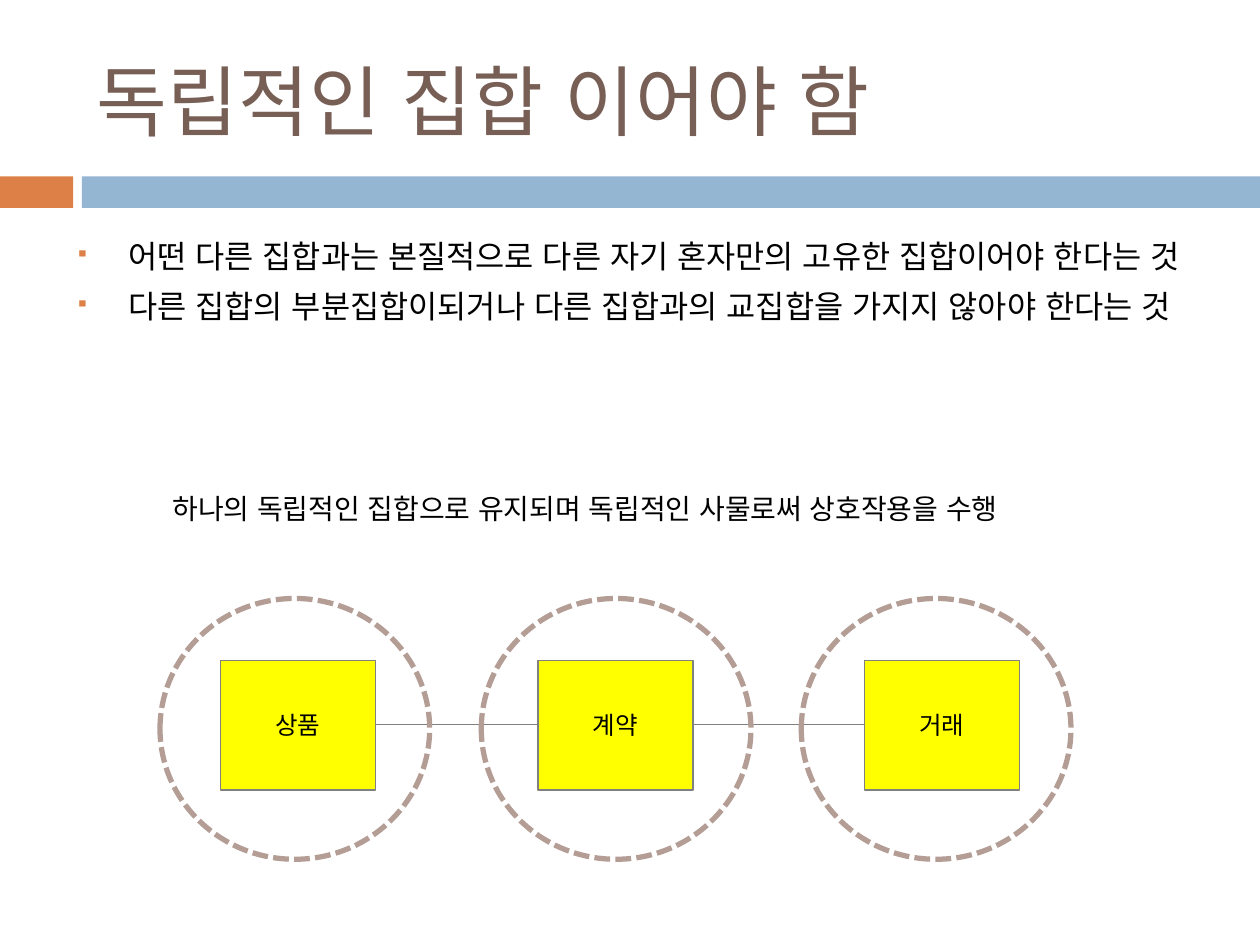
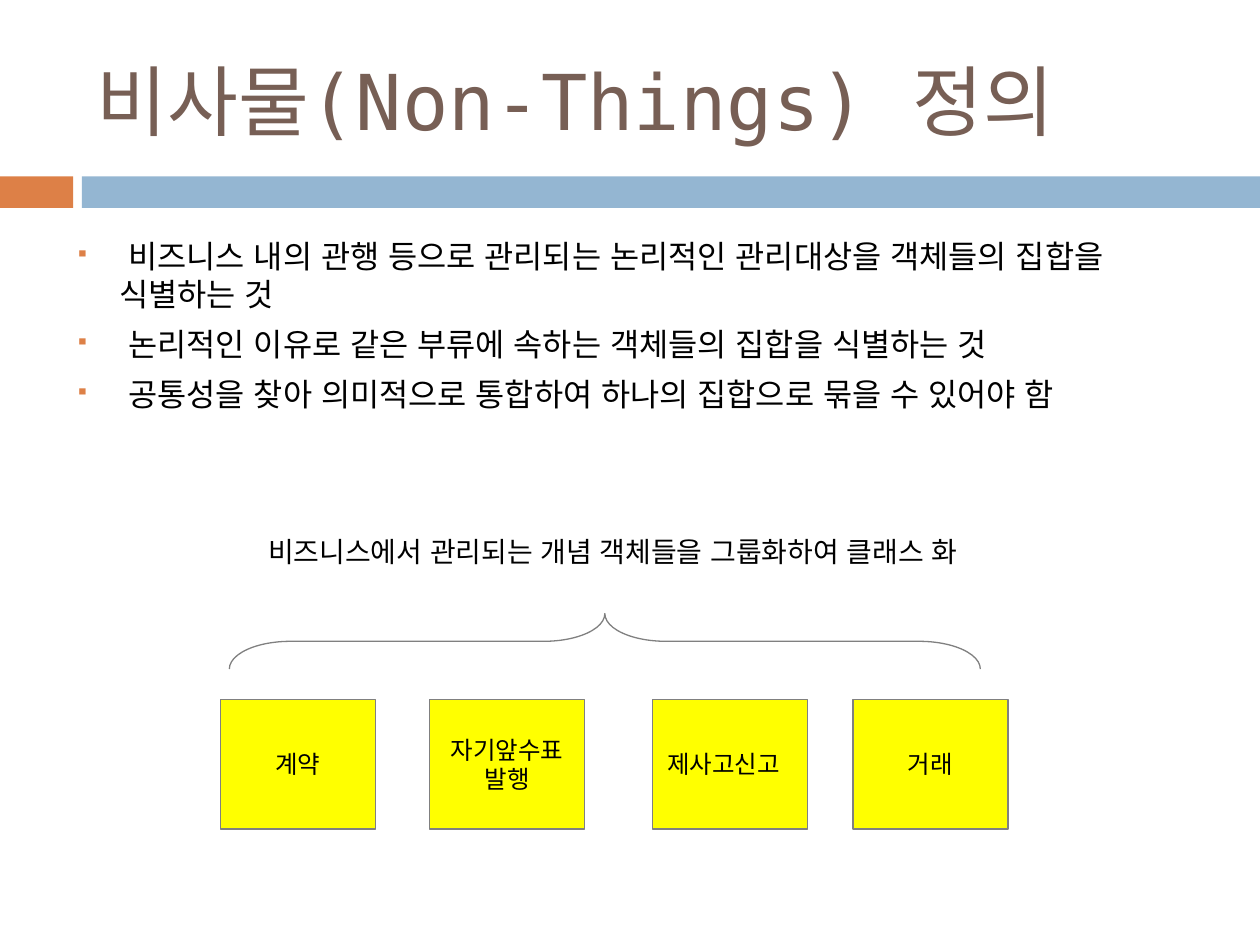
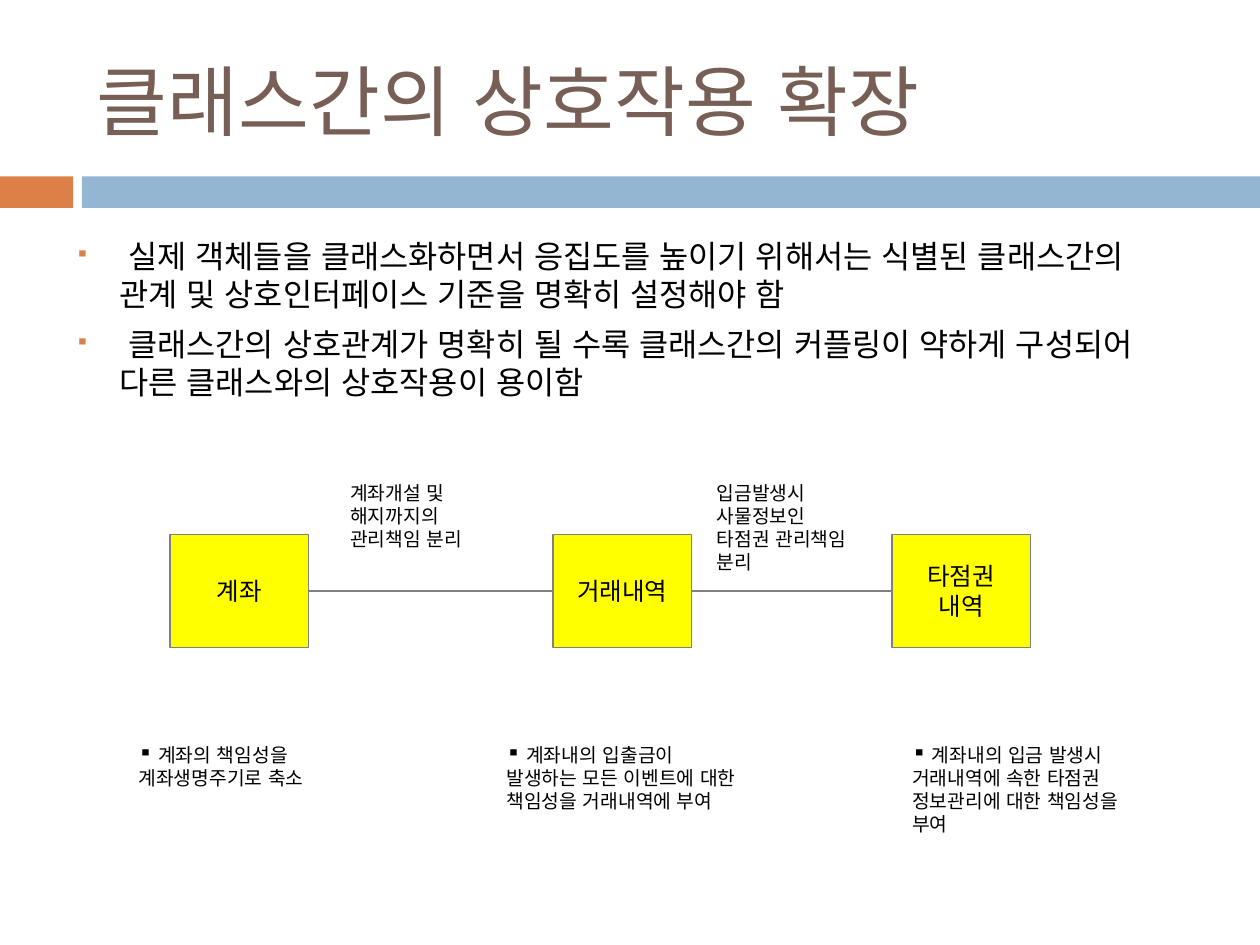
from dataclasses import dataclass
from itertools import pairwise

from lxml.etree import SubElement
from pptx import Presentation
from pptx.dml.color import RGBColor as RGB
from pptx.enum.dml import MSO_LINE
from pptx.enum.lang import MSO_LANGUAGE_ID as LANG
from pptx.enum.shapes import MSO_CONNECTOR, MSO_SHAPE
from pptx.enum.text import MSO_ANCHOR as ANCHOR, PP_ALIGN as ALIGN
from pptx.oxml.ns import qn
from pptx.util import Pt

PX = 9144  # EMU per px, 100 px to the inch


@dataclass(frozen=True)
class Theme:
    font: str = "DejaVu Sans Mono"
    title: str = "775F55"
    text: str = "000000"
    accent: str = "DD8047"
    band: str = "94B6D2"
    box: str = "FFFF00"
    line: str = "808080"
    ring: str = "B39D94"
    title_pt: float = 44
    body_pt: float = 18.1
    caption_pt: float = 16
    box_pt: float = 14
    note_pt: float = 11
    hairline_pt: float = 0.75
    ring_pt: float = 3
    leading: float = 1.2


def add_bullet(p, color=None, scale=None, hang=0):
    pPr = p._p.get_or_add_pPr()
    if hang:
        pPr.set("marL", str(hang * PX))
        pPr.set("indent", str(-hang * PX))
    if color:
        SubElement(SubElement(pPr, qn("a:buClr")), qn("a:srgbClr"), val=color)
    if scale:
        SubElement(pPr, qn("a:buSzPct"), val=str(scale * 1000))
    SubElement(pPr, qn("a:buChar"), char="▪")


def write(tf, text, *, theme, size, color=None, align=ALIGN.LEFT,
          anchor=ANCHOR.TOP, gap=0, bullet=None):
    """Fill a text frame with one paragraph per line of text."""
    tf.word_wrap = True
    tf.vertical_anchor = anchor
    for i, line in enumerate(text.split("\n")):
        p = tf.paragraphs[0] if i == 0 else tf.add_paragraph()
        p.alignment = align
        p.line_spacing = Pt(size * theme.leading)
        if i:
            p.space_before = Pt(gap)
        if bullet is not None:
            add_bullet(p, **bullet)
        r = p.add_run()
        r.text = line
        r.font.name = theme.font
        r.font.size = Pt(size)
        r.font.color.rgb = RGB.from_string(color or theme.text)
        r.font.language_id = LANG.KOREAN


class Deck:
    def __init__(self, theme):
        self.theme = theme
        self.prs = Presentation()
        self.prs.slide_width, self.prs.slide_height = 1000 * PX, 750 * PX
        self.s = None

    def slide(self, title, *points):
        t = self.theme
        self.s = self.prs.slides.add_slide(self.prs.slide_layouts[6])
        self.shape((0, 140, 58, 25), fill=t.accent)
        self.shape((65, 140, 935, 25), fill=t.band)
        self.text((67, 25, 892, 108), title, size=t.title_pt, color=t.title,
                  anchor=ANCHOR.MIDDLE)
        self.text((50, 183, 900, 153), "\n".join(points), size=t.body_pt, gap=7,
                  bullet={"color": t.accent, "scale": 60, "hang": 35})

    def shape(self, at, kind=MSO_SHAPE.RECTANGLE, fill=None, line=None,
              width=None, dash=None):
        sp = self.s.shapes.add_shape(kind, *(v * PX for v in at))
        sp.shadow.inherit = False
        if fill:
            sp.fill.solid()
            sp.fill.fore_color.rgb = RGB.from_string(fill)
        else:
            sp.fill.background()
        if line:
            sp.line.color.rgb = RGB.from_string(line)
            sp.line.width = Pt(width or self.theme.hairline_pt)
            sp.line.dash_style = dash
        else:
            sp.line.fill.background()
        return sp

    def text(self, at, text, **fmt):
        sp = self.s.shapes.add_textbox(*(v * PX for v in at))
        write(sp.text_frame, text, theme=self.theme, **fmt)

    def caption(self, at, text, align=ALIGN.LEFT):
        self.text(at, text, size=self.theme.caption_pt, align=align)

    def note(self, at, text, bullet=None):
        self.text(at, text, size=self.theme.note_pt, bullet=bullet)

    def link(self, x1, x2, y):
        c = self.s.shapes.add_connector(MSO_CONNECTOR.STRAIGHT,
                                        x1 * PX, y * PX, x2 * PX, y * PX)
        c.line.color.rgb = RGB.from_string(self.theme.line)
        c.line.width = Pt(self.theme.hairline_pt)
        SubElement(c._element.spPr, qn("a:effectLst"))

    def class_row(self, boxes, top, width, height, linked=False):
        """Draw class boxes, given as left edge to name, side by side."""
        t = self.theme
        for x, name in boxes.items():
            sp = self.shape((x, top, width, height), fill=t.box, line=t.line)
            write(sp.text_frame, name, theme=t, size=t.box_pt,
                  align=ALIGN.CENTER, anchor=ANCHOR.MIDDLE)
        if linked:
            for x1, x2 in pairwise(boxes):
                self.link(x1 + width, x2, top + height // 2)

    def ring(self, at):
        self.shape(at, MSO_SHAPE.OVAL, line=self.theme.ring,
                   width=self.theme.ring_pt, dash=MSO_LINE.SQUARE_DOT)

    def top_brace(self, left, top, width, height):
        """Draw a brace that opens downwards over the given area."""
        x = left + (width - height) // 2
        y = top + (height - width) // 2
        sp = self.shape((x, y, height, width), MSO_SHAPE.LEFT_BRACE,
                        line=self.theme.line)
        sp.adjustments[0] = 1.1
        sp.rotation = 90


def independent_sets(d):
    d.slide("독립적인 집합 이어야 함",
            " 어떤 다른 집합과는 본질적으로 다른 자기 혼자만의 고유한 집합이어야 한다는 것",
            " 다른 집합의 부분집합이되거나 다른 집합과의 교집합을 가지지 않아야 한다는 것")
    d.class_row({175: "상품", 427: "계약", 686: "거래"}, 524, 123, 103, linked=True)
    for x in (127, 382, 636):
        d.ring((x, 475, 214, 207))
    d.caption((127, 385, 746, 37),
              "하나의 독립적인 집합으로 유지되며 독립적인 사물로써 상호작용을 수행")


def non_things(d):
    d.slide("비사물(Non-Things) 정의",
            " 비즈니스 내의 관행 등으로 관리되는 논리적인 관리대상을 객체들의 집합을 식별하는 것",
            " 논리적인 이유로 같은 부류에 속하는 객체들의 집합을 식별하는 것",
            " 공통성을 찾아 의미적으로 통합하여 하나의 집합으로 묶을 수 있어야 함")
    d.class_row({175: "계약", 341: "자기앞수표발행", 518: "제사고신고\t", 677: "거래"},
                555, 123, 103)
    d.top_brace(182, 487, 596, 44)
    d.caption((91, 419, 791, 37),
              "비즈니스에서 관리되는 개념 객체들을 그룹화하여 클래스 화", ALIGN.CENTER)


def class_interaction(d):
    d.slide("클래스간의 상호작용 확장",
            " 실제 객체들을 클래스화하면서 응집도를 높이기 위해서는 식별된 클래스간의 "
            "관계 및 상호인터페이스 기준을 명확히 설정해야 함",
            " 클래스간의 상호관계가 명확히 될 수록 클래스간의 커플링이 약하게 구성되어 "
            "다른 클래스와의 상호작용이 용이함")
    d.class_row({135: "계좌", 439: "거래내역", 708: "타점권\n내역"},
                424, 110, 90, linked=True)
    duties = {
        100: " 계좌의 책임성을 계좌생명주기로 축소",
        392: " 계좌내의 입출금이 발생하는 모든 이벤트에 대한 책임성을 거래내역에 부여",
        714: " 계좌내의 입금 발생시 거래내역에 속한 타점권 정보관리에 대한 책임성을 부여",
    }
    for x, duty in duties.items():
        d.note((x, 585, 209, 66), duty, bullet={})
    splits = {
        268: "계좌개설 및 해지까지의 관리책임 분리",
        559: "입금발생시 사물정보인 타점권 관리책임 분리",
    }
    for x, split in splits.items():
        d.note((x, 377, 136, 66), split)


def main():
    d = Deck(Theme())
    independent_sets(d)
    non_things(d)
    class_interaction(d)
    d.prs.save("out.pptx")


if __name__ == "__main__":
    main()
